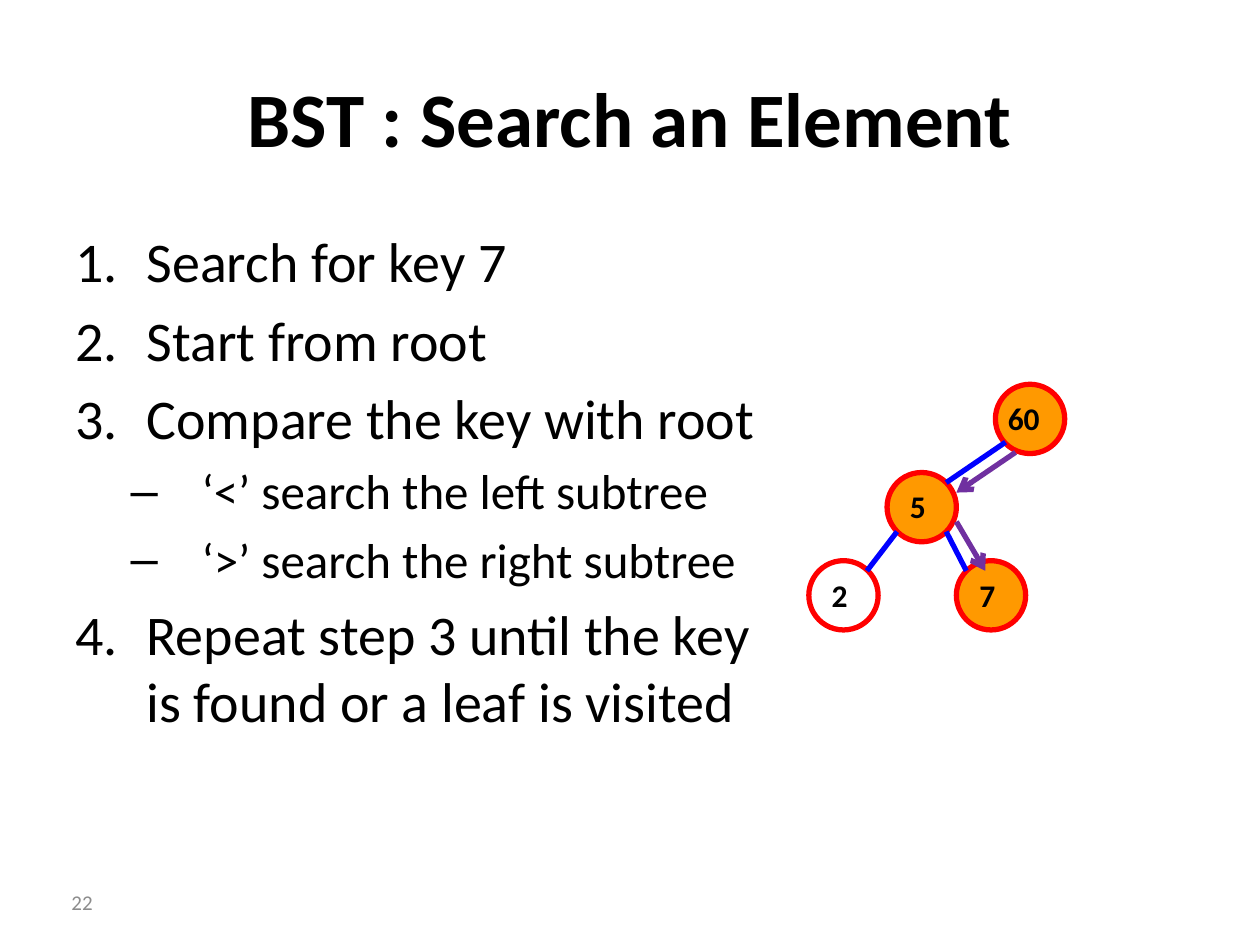
"""Build a slide on searching for a key in a binary search tree."""
from lxml.etree import SubElement
from pptx import Presentation
from pptx.dml.color import RGBColor
from pptx.enum.shapes import MSO_CONNECTOR, MSO_SHAPE
from pptx.enum.text import MSO_ANCHOR, MSO_AUTO_SIZE, PP_ALIGN
from pptx.oxml.ns import qn
from pptx.util import Pt


def paint(color, value):
    color.rgb = RGBColor.from_string(value)


def write(par, text, size, value="000000", bold=False):
    run = par.add_run()
    run.text = text
    run.font.name = "Calibri"
    run.font.size = Pt(size)
    run.font.bold = bold
    paint(run.font.color, value)


deck = Presentation()
deck.slide_width, deck.slide_height = Pt(720), Pt(540)
slide = deck.slides.add_slide(deck.slide_layouts[1])
shapes = slide.shapes

title = shapes.title
title.left, title.top, title.width, title.height = Pt(36), Pt(21.6), Pt(648), Pt(90)
title.text_frame.vertical_anchor = MSO_ANCHOR.MIDDLE
head = title.text_frame.paragraphs[0]
head.alignment = PP_ALIGN.CENTER
write(head, "BST : Search an Element", 44, bold=True)

body = slide.placeholders[1]
body.left, body.top, body.width, body.height = Pt(36), Pt(126), Pt(426), Pt(356.4)
frame = body.text_frame
frame.auto_size = MSO_AUTO_SIZE.NONE
steps = [
    (0, "Search for key 7"),
    (0, "Start from root"),
    (0, "Compare the key with root"),
    (1, "‘<’ search the left subtree"),
    (1, "‘>’ search the right subtree"),
    (0, "Repeat step 3 until the key is found or a leaf is visited"),
]
for index, (level, text) in enumerate(steps):
    par = frame.add_paragraph() if index else frame.paragraphs[0]
    par.level = level
    props = par._p.get_or_add_pPr()
    props.set("marL", str(Pt(72 if level else 40.5)))
    props.set("indent", str(Pt(-40.5)))
    if level == 0:
        SubElement(props, qn("a:buFont"), typeface="+mj-lt")
        SubElement(props, qn("a:buAutoNum"), type="arabicPeriod")
    if index == 0:
        par.space_before = Pt(0)
    write(par, text, 28 if level else 32)

nodes = [
    ("60", 568.8, 219.6, 0, True),
    ("5", 506.9, 270, 6, True),
    ("2", 462.2, 320.4, 6, False),
    ("7", 546.5, 320.4, 6, True),
]
for key, left, top, shift, seen in nodes:
    node = shapes.add_shape(MSO_SHAPE.OVAL, Pt(left), Pt(top), Pt(39.6), Pt(39.6))
    node.name = f"Node {key}"
    node.shadow.inherit = False
    if seen:
        node.fill.solid()
        paint(node.fill.fore_color, "FF9900")
    else:
        node.fill.background()
    paint(node.line.color, "FF0000")
    node.line.width = Pt(3)
    label = shapes.add_textbox(Pt(left + shift), Pt(top - 2.2), Pt(44.6 if len(key) > 1 else 39.6), Pt(47.5))
    frame = label.text_frame
    frame.word_wrap = True
    frame.margin_left = frame.margin_right = Pt(7.2)
    frame.margin_top = frame.margin_bottom = Pt(10.8)
    write(frame.paragraphs[0], key, 18, bold=True)

links = [
    (540.7, 275.8, 574.6, 252.7, "0000FF", False),
    (495.4, 326.2, 512.6, 303.8, "0000FF", False),
    (552.2, 326.2, 540.7, 303.8, "0000FF", False),
    (580.3, 258.5, 546.5, 281.5, "7030A0", True),
    (546.5, 298.1, 563, 326.2, "7030A0", True),
]
for left, top, right, base, color, arrow in links:
    link = shapes.add_connector(MSO_CONNECTOR.STRAIGHT, Pt(left), Pt(top), Pt(right), Pt(base))
    paint(link.line.color, color)
    link.line.width = Pt(3)
    if arrow:
        SubElement(link.line._get_or_add_ln(), qn("a:tailEnd"), type="arrow")
    SubElement(link._element.spPr, qn("a:effectLst"))

page = shapes.add_textbox(Pt(-108), Pt(501), Pt(168), Pt(28.8))
page.text_frame.word_wrap = True
page.text_frame.vertical_anchor = MSO_ANCHOR.MIDDLE
par = page.text_frame.paragraphs[0]
par.alignment = PP_ALIGN.RIGHT
write(par, "22", 12, "8C8C8C")

deck.save("out.pptx")
